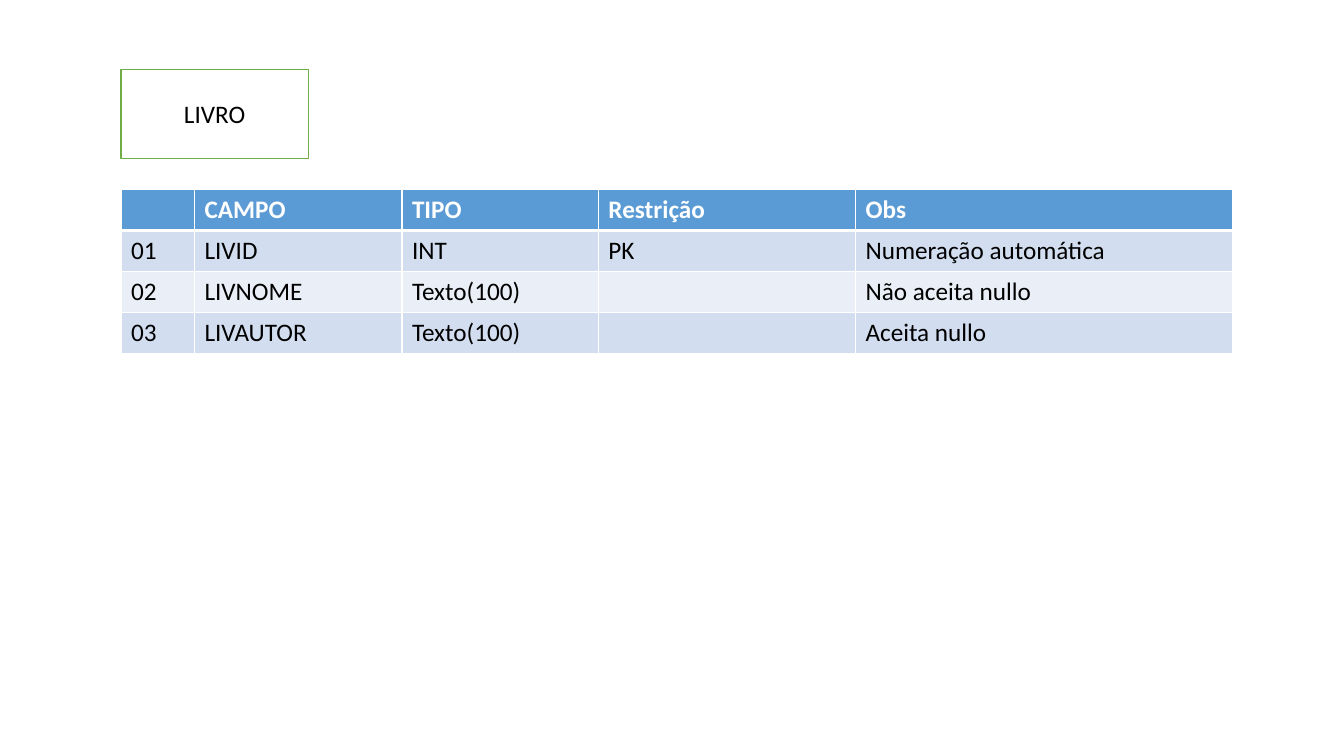
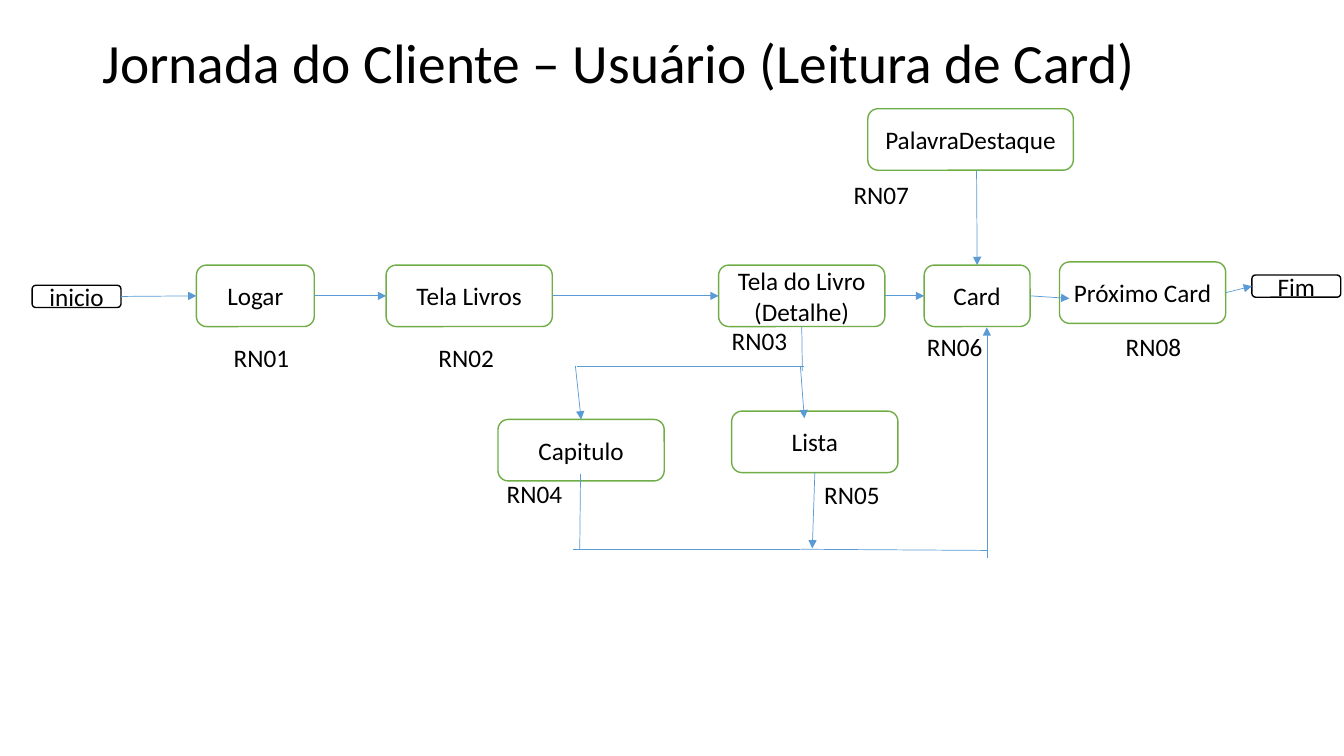
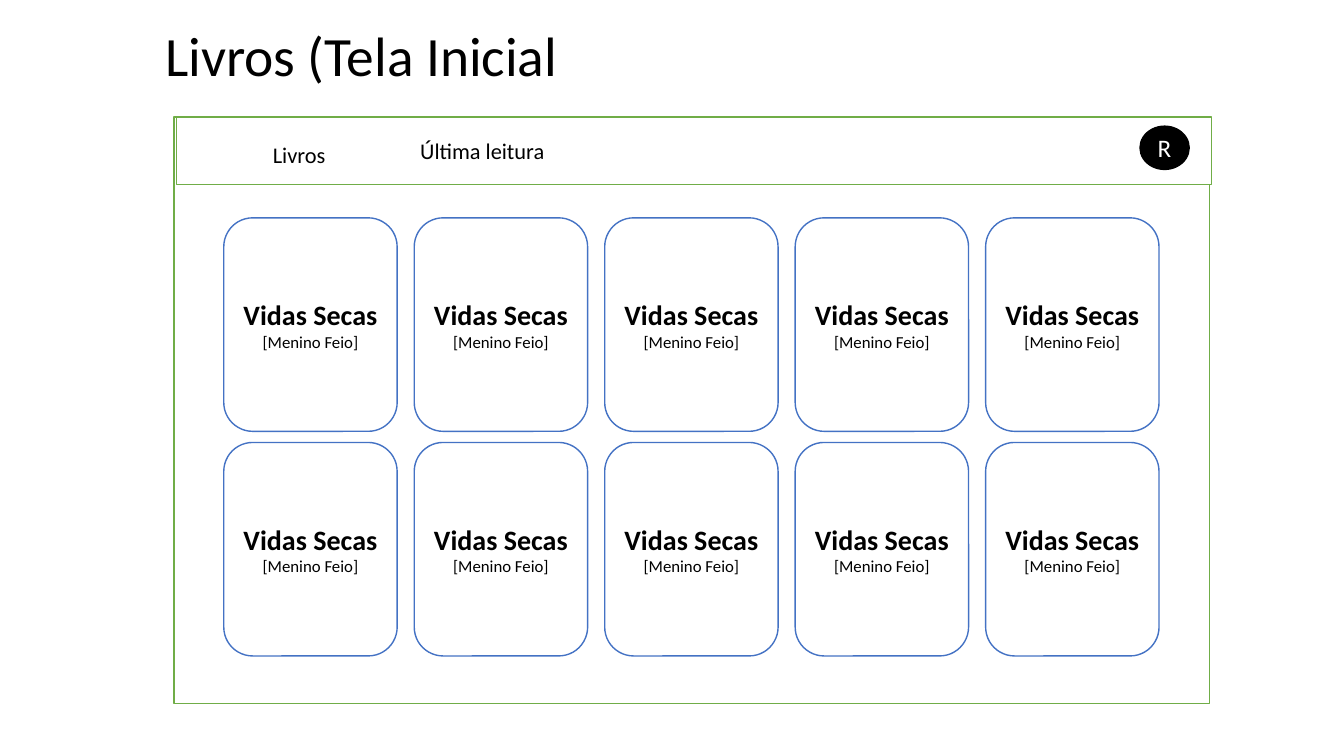
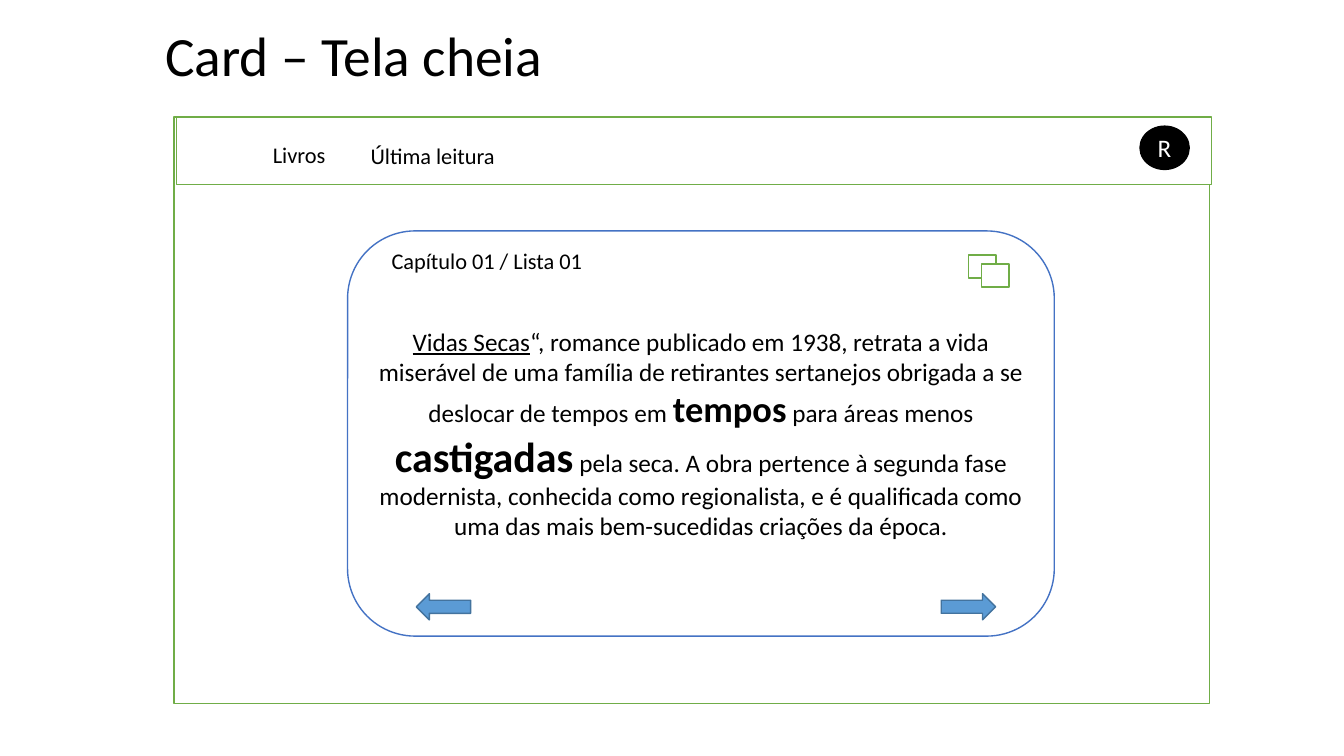
import pptx
import pptx.dml.color
import pptx.enum.shapes
import pptx.enum.text
import pptx.oxml
import pptx.oxml.ns
import pptx.util

Cm, Pt = pptx.util.Cm, pptx.util.Pt
RGBColor = pptx.dml.color.RGBColor
SHAPES = pptx.enum.shapes.MSO_SHAPE
ALIGN = pptx.enum.text.PP_ALIGN
MIDDLE = pptx.enum.text.MSO_ANCHOR.MIDDLE

# Shared look
WHITE = RGBColor(0xFF, 0xFF, 0xFF)
BLACK = RGBColor(0x00, 0x00, 0x00)
GREEN = RGBColor(0x70, 0xAD, 0x47)
BLUE = RGBColor(0x5B, 0x9B, 0xD5)
DARK_BLUE = RGBColor(0x43, 0x73, 0x9E)
CARD_BLUE = RGBColor(0x44, 0x72, 0xC4)
BANDS = [RGBColor(0xD2, 0xDE, 0xEF), RGBColor(0xEA, 0xEF, 0xF7)]

BODY = {"name": "Calibri", "size": Pt(18), "bold": False}
TITLE = BODY | {"size": Pt(39.6)}
HEADER = BODY | {"bold": True}
MENU = BODY | {"size": Pt(16)}
BOOK = BODY | {"size": Pt(20), "bold": True}
AUTHOR = BODY | {"size": Pt(12)}

# Content: lengths in cm, boxes as left, top, width, height
FIELDS = [
    ["", "CAMPO", "TIPO", "Restrição", "Obs"],
    ["01", "LIVID", "INT", "PK", "Numeração automática"],
    ["02", "LIVNOME", "Texto(100)", "", "Não aceita nullo"],
    ["03", "LIVAUTOR", "Texto(100)", "", "Aceita nullo"],
]
FIELD_WIDTHS = [1.85, 5.23, 4.95, 6.48, 9.49]
FIELD_HEIGHT = 1.03

STEP_HEIGHT = 1.55
STEPS = {
    "Logar": (4.95, 6.68, 2.97),
    "Tela Livros": (9.73, 6.68, 4.19),
    "Tela do Livro (Detalhe)": (18.11, 6.68, 4.19),
    "Capitulo": (12.55, 10.57, 4.19),
    "Lista": (18.44, 10.36, 4.19),
    "Próximo Card": (26.7, 6.6, 4.19),
    "PalavraDestaque": (21.87, 2.74, 5.18),
    "Card": (23.29, 6.68, 2.67),
}
TERMINALS = {"inicio": (0.81, 7.19), "Fim": (31.55, 6.93)}

TOP, LEFT, BOTTOM, RIGHT = range(4)
# Each end is a (step, side) pair or an (x, y) point
ARROWS = [
    (("inicio", RIGHT), ("Logar", LEFT)),
    (("Logar", RIGHT), ("Tela Livros", LEFT)),
    (("Tela Livros", RIGHT), ("Tela do Livro (Detalhe)", LEFT)),
    (("Tela do Livro (Detalhe)", RIGHT), ("Card", LEFT)),
    (("Card", RIGHT), (26.95, 7.52)),
    (("Próximo Card", RIGHT), ("Fim", LEFT)),
    ((24.61, 4.29), ("Card", TOP)),
    ((14.5, 9.22), ("Capitulo", TOP)),
    ((20.17, 9.22), (20.27, 10.54)),
    (("Lista", BOTTOM), (20.47, 13.82)),
    ((24.87, 14.05), (24.87, 8.25)),
]
PLAIN_LINES = [
    (("Tela do Livro (Detalhe)", BOTTOM), (20.22, 9.35)),
    ((14.55, 9.22), (20.27, 9.22)),
    ((14.63, 11.94), (14.61, 13.84)),
    ((14.45, 13.84), (20.17, 13.84)),
    ((20.17, 13.84), (24.87, 13.87)),
]
RULES = {
    "RN01": (5.64, 8.51), "RN02": (10.8, 8.51), "RN03": (18.19, 8.08),
    "RN04": (12.52, 11.94), "RN05": (20.52, 11.96), "RN06": (23.11, 8.23),
    "RN07": (21.26, 4.39), "RN08": (28.12, 8.23),
}

BOOK_LINES = [[("Vidas Secas", BOOK)], [("[Menino Feio]", AUTHOR)]]
SHELF_ROWS, SHELF_COLUMNS = 2, 5
SUMMARY = [[
    ("Vidas Secas", BODY | {"underline": True}),
    ("“, romance publicado em 1938, retrata a vida miserável de uma família de "
     "retirantes sertanejos obrigada a se deslocar de tempos em ", BODY),
    ("tempos", BOOK | {"size": Pt(26)}),
    (" para áreas menos ", BODY),
    ("castigadas", BOOK | {"size": Pt(30)}),
    (" pela seca. A obra pertence à segunda fase modernista, conhecida como "
     "regionalista, e é qualificada como uma das mais bem-sucedidas criações "
     "da época.", BODY),
]]


def write(frame, paragraphs, color=BLACK, **layout):
    """Fill a text frame with paragraphs, each a list of (text, format)."""
    for index, runs in enumerate(paragraphs):
        paragraph = frame.paragraphs[0] if index == 0 else frame.add_paragraph()
        for name, value in layout.items():
            setattr(paragraph, name, value)
        for text, formats in runs:
            run = paragraph.add_run()
            run.text = text
            run.font.color.rgb = color
            for name, value in formats.items():
                setattr(run.font, name, value)


def add_box(slide, kind, box, paragraphs=(), fill=WHITE, line=GREEN,
            color=BLACK, align=ALIGN.CENTER):
    shape = slide.shapes.add_shape(kind, *map(Cm, box))
    shape.shadow.inherit = False
    shape.fill.solid()
    shape.fill.fore_color.rgb = fill
    if line is None:
        shape.line.fill.background()
    else:
        shape.line.color.rgb = line
        shape.line.width = Pt(1)
    shape.text_frame.vertical_anchor = MIDDLE
    write(shape.text_frame, paragraphs, color, alignment=align)
    return shape


def add_text(slide, box, text, formats, **layout):
    frame = slide.shapes.add_textbox(*map(Cm, box)).text_frame
    frame.word_wrap = True
    write(frame, [[(text, formats)]], **layout)
    return frame


def add_title(slide, text, left=3.91, top=0.86):
    frame = add_text(slide, (left, top, 29.21, 1.24), text, TITLE, line_spacing=0.9)
    frame.vertical_anchor = MIDDLE


def add_flow(slide, steps, start, end, arrow):
    points = [(0, 0) if isinstance(place[0], str) else place for place in (start, end)]
    flow = slide.shapes.add_connector(
        pptx.enum.shapes.MSO_CONNECTOR.STRAIGHT, *map(Cm, points[0] + points[1]))
    for place, connect in ((start, flow.begin_connect), (end, flow.end_connect)):
        if isinstance(place[0], str):
            connect(steps[place[0]], place[1])
    flow.line.color.rgb = BLUE
    flow.line.width = Pt(0.5)
    if arrow:
        flow.line._get_or_add_ln().append(pptx.oxml.parse_xml(
            f'<a:tailEnd {pptx.oxml.ns.nsdecls("a")} type="triangle"/>'))
    flow._element.spPr.append(pptx.oxml.parse_xml(
        f'<a:effectLst {pptx.oxml.ns.nsdecls("a")}/>'))


def add_borders(cell, widths):
    for side, width in widths.items():
        cell._tc.get_or_add_tcPr().append(pptx.oxml.parse_xml(
            f'<a:ln{side} {pptx.oxml.ns.nsdecls("a")} w="{Pt(width)}">'
            f'<a:solidFill><a:srgbClr val="{WHITE}"/></a:solidFill></a:ln{side}>'))


def add_app_screen(slide, title, last_read):
    """Title, window, menu bar and user badge of an app screen."""
    add_title(slide, title)
    add_box(slide, SHAPES.RECTANGLE, (4.39, 2.95, 26.09, 14.78))
    add_box(slide, SHAPES.RECTANGLE, (4.45, 2.95, 26.09, 1.7))
    add_box(slide, SHAPES.OVAL, (28.73, 3.18, 1.24, 1.09), [[("R", BODY)]],
            fill=BLACK, line=BLACK, color=WHITE)
    for text, box in (("Livros", (5.99, 3.51, 3.1, 0.79)),
                      ("Última leitura", (*last_read, 4.29, 0.79))):
        add_box(slide, SHAPES.ROUNDED_RECTANGLE, box, [[(text, MENU)]], line=None)


def build_book_table(slide):
    add_box(slide, SHAPES.RECTANGLE, (3.05, 1.75, 4.72, 2.24), [[("LIVRO", BODY)]])
    fields = slide.shapes.add_table(
        len(FIELDS), len(FIELD_WIDTHS), Cm(3.05), Cm(4.78),
        Cm(sum(FIELD_WIDTHS)), Cm(FIELD_HEIGHT * len(FIELDS))).table
    for column, width in zip(fields.columns, FIELD_WIDTHS):
        column.width = Cm(width)
    for r, values in enumerate(FIELDS):
        fields.rows[r].height = Cm(FIELD_HEIGHT)
        for c, text in enumerate(values):
            cell = fields.cell(r, c)
            add_borders(cell, {"L": 1, "R": 1, "T": 3 if r == 1 else 1,
                               "B": 3 if r == 0 else 1})
            cell.fill.solid()
            cell.fill.fore_color.rgb = BANDS[(r - 1) % 2] if r else BLUE
            if text:
                write(cell.text_frame, [[(text, BODY if r else HEADER)]],
                      BLACK if r else WHITE)


def build_journey(slide):
    add_title(slide, "Jornada do Cliente – Usuário (Leitura de Card)", 2.34, 1.02)
    boxes = {name: ((*place, STEP_HEIGHT), GREEN) for name, place in STEPS.items()}
    boxes |= {name: ((*place, 2.24, 0.56), BLACK) for name, place in TERMINALS.items()}
    steps = {name: add_box(slide, SHAPES.ROUNDED_RECTANGLE, box, [[(name, BODY)]], line=line)
             for name, (box, line) in boxes.items()}
    for flows, arrow in ((ARROWS, True), (PLAIN_LINES, False)):
        for start, end in flows:
            add_flow(slide, steps, start, end, arrow)
    for rule, place in RULES.items():
        add_text(slide, (*place, 2.69, 1.02), rule, BODY)


def build_shelf(slide):
    add_app_screen(slide, "Livros (Tela Inicial", (10.01, 3.4))
    for row in range(SHELF_ROWS):
        for column in range(SHELF_COLUMNS):
            add_box(slide, SHAPES.ROUNDED_RECTANGLE,
                    (5.64 + 4.8 * column, 5.49 + 5.66 * row, 4.37, 5.38),
                    BOOK_LINES, line=CARD_BLUE)


def build_full_card(slide):
    add_app_screen(slide, "Card – Tela cheia", (8.76, 3.53))
    add_box(slide, SHAPES.ROUNDED_RECTANGLE, (8.76, 5.82, 17.81, 10.21),
            SUMMARY, line=CARD_BLUE)
    # Previous and next arrows
    for left, rotation in ((23.72, 0), (10.49, 180)):
        arrow = add_box(slide, SHAPES.RIGHT_ARROW, (left, 14.96, 1.37, 0.66),
                        fill=BLUE, line=DARK_BLUE)
        arrow.rotation = rotation
    add_box(slide, SHAPES.ROUNDED_RECTANGLE, (9.58, 6.17, 6.78, 0.79),
            [[("Capítulo 01 / Lista 01", MENU)]], line=None, align=ALIGN.LEFT)
    # Overlapping-pages icon
    for place in ((24.41, 6.43), (24.74, 6.65)):
        add_box(slide, SHAPES.RECTANGLE, (*place, 0.69, 0.58))


def main():
    deck = pptx.Presentation()
    deck.slide_width, deck.slide_height = Cm(33.87), Cm(19.05)
    for build in (build_book_table, build_journey, build_shelf, build_full_card):
        build(deck.slides.add_slide(deck.slide_layouts[6]))
    deck.save("out.pptx")


if __name__ == "__main__":
    main()
